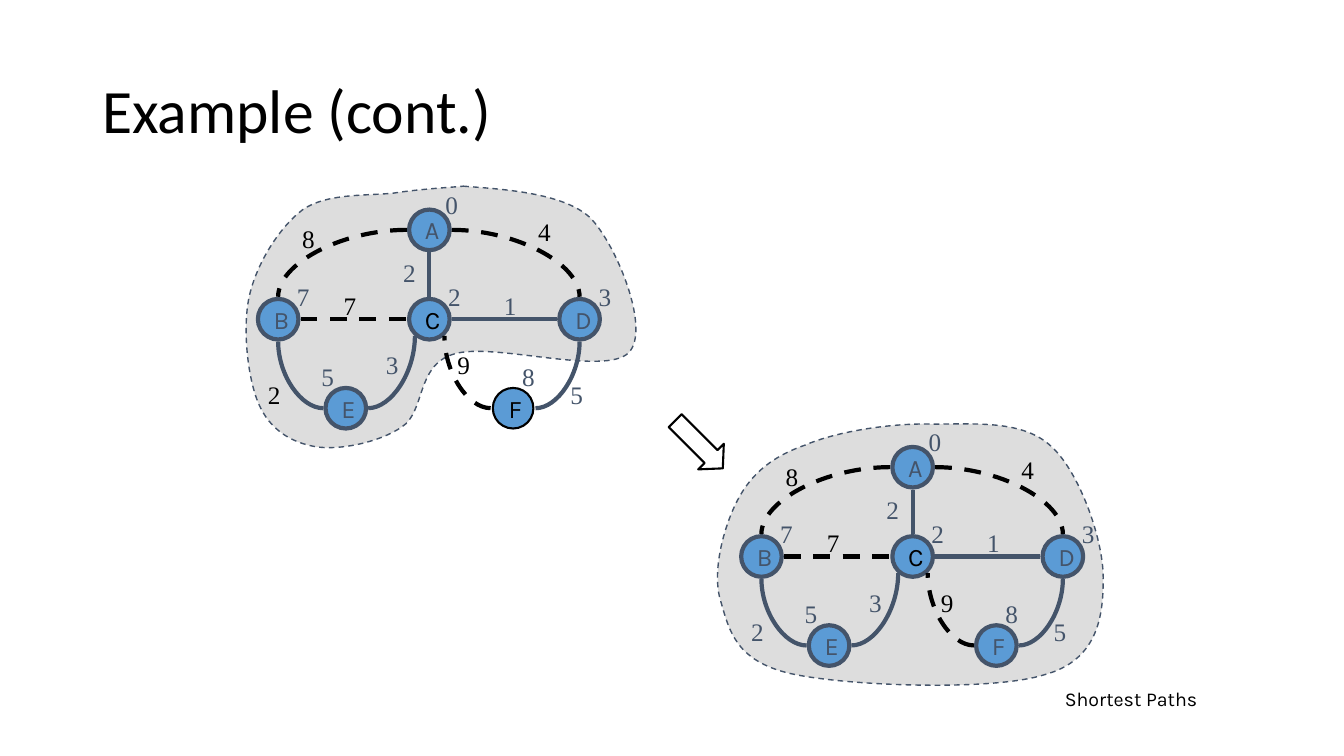
"""Build the slide that shows the last two steps of a shortest path example."""
from lxml import etree
from pptx import Presentation
from pptx.dml.color import RGBColor
from pptx.enum.dml import MSO_LINE
from pptx.enum.shapes import MSO_CONNECTOR, MSO_SHAPE
from pptx.enum.text import MSO_ANCHOR, MSO_AUTO_SIZE, PP_ALIGN
from pptx.oxml.ns import qn
from pptx.util import Pt

DASH = MSO_LINE.DASH
CURVE, STRAIGHT = MSO_CONNECTOR.CURVE, MSO_CONNECTOR.STRAIGHT
OVAL, ARROW = MSO_SHAPE.OVAL, MSO_SHAPE.RIGHT_ARROW
MIDDLE, GROW = MSO_ANCHOR.MIDDLE, MSO_AUTO_SIZE.SHAPE_TO_FIT_TEXT
LEFT, CENTER = PP_ALIGN.LEFT, PP_ALIGN.CENTER

COLORS = {"black": "000000", "slate": "44546A", "node": "5B9BD5", "cloud": "DDDDDD"}
SIZE = 29
NODES = {"C": (306.7, 228), "B": (198.7, 228), "A": (306.7, 164.2),
         "E": (247, 291.6), "D": (414, 228), "F": (366.5, 291.6)}
SIDES = {"left": (-16, 0), "right": (16, 0), "top": (0, -16), "bottom": (0, 16),
         "low left": (-10.3, 12), "low right": (10.8, 12)}
EDGES = [
    ("A", "left", "B", "top", CURVE, "black"),
    ("E", "left", "B", "bottom", CURVE, "slate"),
    ("E", "right", "C", "low left", CURVE, "slate"),
    ("A", "bottom", "C", "top", STRAIGHT, "slate"),
    ("B", "right", "C", "left", STRAIGHT, "black"),
    ("F", "right", "D", "bottom", CURVE, "slate"),
    ("A", "right", "D", "top", CURVE, "black"),
    ("C", "right", "D", "left", STRAIGHT, "slate"),
    ("F", "left", "C", "low right", CURVE, "black"),
]
COSTS = [("0", 311, 131.8, "slate"), ("3", 420.5, 197.3, "slate"),
         ("2", 313, 197.3, "slate"), ("7", 205, 197.3, "slate"),
         ("5", 222.5, 254.2, "slate"), ("8", 365.8, 254.2, "slate"),
         ("4", 377.3, 151.2, "black"), ("8", 208.8, 156.2, "black"),
         ("7", 238.3, 203.8, "black"), ("1", 352.8, 203.8, "slate"),
         ("5", 400.3, 267.1, "slate"), ("2", 280.8, 180, "slate"),
         ("3", 268.6, 246.2, "slate"), ("9", 319.7, 246.2, "black")]
CLOUD1 = [
    (331, 133), (355, 135), (402.5, 137), (422, 156), (441, 176), (465, 236),
    (449, 252), (432, 269), (351, 244), (324, 253), (297, 261), (304, 294),
    (287, 305), (271, 316), (242, 322), (225, 319), (208, 316), (193, 307),
    (185, 289), (177, 271), (173, 235), (178, 212), (183, 189), (199, 163),
    (216, 150), (233, 138), (261, 140), (281, 138), (300, 135), (321, 134),
    (331, 133)]
CLOUD2 = [
    (667, 303), (697, 303), (731, 300), (751, 319), (771, 337), (789, 387),
    (788, 415), (788, 442), (783, 472), (746, 482), (708, 494), (603, 490),
    (564, 481), (526, 472), (521, 451), (515, 430), (508, 409), (517, 376),
    (527, 357), (537, 338), (552, 326), (575, 318), (598, 308), (638, 302),
    (667, 303)]
STEPS = [(0, 0, CLOUD1, "black", 1.5, "black"),
         (345.2, 169.5, CLOUD2, "slate", 3, "slate")]


def write(shape, text, font, size, color, align=LEFT, wrap=False):
    """Put one run of text into a shape."""
    frame = shape.text_frame
    frame.word_wrap = wrap
    par = frame.paragraphs[0]
    par.alignment = align
    run = par.add_run()
    run.text = text
    run.font.name = font
    run.font.size = Pt(size)
    run.font.color.rgb = RGBColor.from_string(COLORS[color])
    return frame


def draw(shape, color, width, fill=None):
    """Set the line and fill of a shape."""
    shape.shadow.inherit = False
    shape.line.color.rgb = RGBColor.from_string(COLORS[color])
    shape.line.width = Pt(width)
    if fill:
        shape.fill.solid()
        shape.fill.fore_color.rgb = RGBColor.from_string(COLORS[fill])
    else:
        shape.fill.background()


deck = Presentation()
deck.slide_width, deck.slide_height = Pt(960), Pt(540)
shapes = deck.slides.add_slide(deck.slide_layouts[6]).shapes

title = shapes.add_textbox(Pt(66), Pt(28.8), Pt(828), Pt(104.4))
frame = write(title, "Example (cont.)", "Calibri", 44, "black", wrap=True)
frame.vertical_anchor = MIDDLE
frame.paragraphs[0].line_spacing = 0.9

footer = shapes.add_textbox(Pt(656), Pt(481), Pt(304), Pt(36))
frame = write(footer, "Shortest Paths", "Karla", 14, "black", CENTER, True)
frame.vertical_anchor = MIDDLE

for dx, dy, cloud, ink, rim, two in STEPS:
    points = [(Pt(x), Pt(y)) for x, y in cloud]
    pen = shapes.build_freeform(*points[0])
    pen.add_line_segments(points[1:])
    blob = pen.convert_to_shape()
    draw(blob, "slate", 1, "cloud")
    blob.line.dash_style = DASH
    lines = list(blob.element.iter(qn("a:lnTo")))
    for i in range(0, len(lines), 3):
        bend = etree.Element(qn("a:cubicBezTo"))
        lines[i].addprevious(bend)
        for line in lines[i:i + 3]:
            bend.append(line[0])
            line.getparent().remove(line)

    for name, (x, y) in NODES.items():
        node = shapes.add_shape(OVAL, Pt(x + dx - SIZE / 2), Pt(y + dy - SIZE / 2),
                                Pt(SIZE), Pt(SIZE))
        draw(node, ink if name == "F" else "slate", rim if name == "F" else 3, "node")
        tone = {"C": "black", "F": ink}.get(name, "slate")
        write(node, name, "Karla", 18, tone).vertical_anchor = MIDDLE

    for start, side, end, face, kind, color in EDGES:
        (x1, y1), (x2, y2) = NODES[start], NODES[end]
        (h1, v1), (h2, v2) = SIDES[side], SIDES[face]
        edge = shapes.add_connector(kind, Pt(x1 + h1 + dx), Pt(y1 + v1 + dy),
                                    Pt(x2 + h2 + dx), Pt(y2 + v2 + dy))
        edge.line.color.rgb = RGBColor.from_string(COLORS[color])
        edge.line.width = Pt(3)
        if color == "black":
            edge.line.dash_style = DASH
        props = edge.element.spPr
        etree.SubElement(props, qn("a:effectLst"))
        if kind == CURVE:
            props.find(qn("a:prstGeom")).set("prst", "curvedConnector2")

    for text, x, y, color in COSTS + [("2", 184.3, 267.1, two)]:
        label = shapes.add_textbox(Pt(x + dx), Pt(y + dy), Pt(23.6), Pt(29))
        write(label, text, "Times New Roman", 18, color).auto_size = GROW

arrow = shapes.add_shape(ARROW, Pt(475.2), Pt(304.6), Pt(48.2), Pt(25.9))
draw(arrow, "black", 1.5)
arrow.rotation = 45
arrow.adjustments[0], arrow.adjustments[1] = 0.5, 0.46

deck.save("out.pptx")
